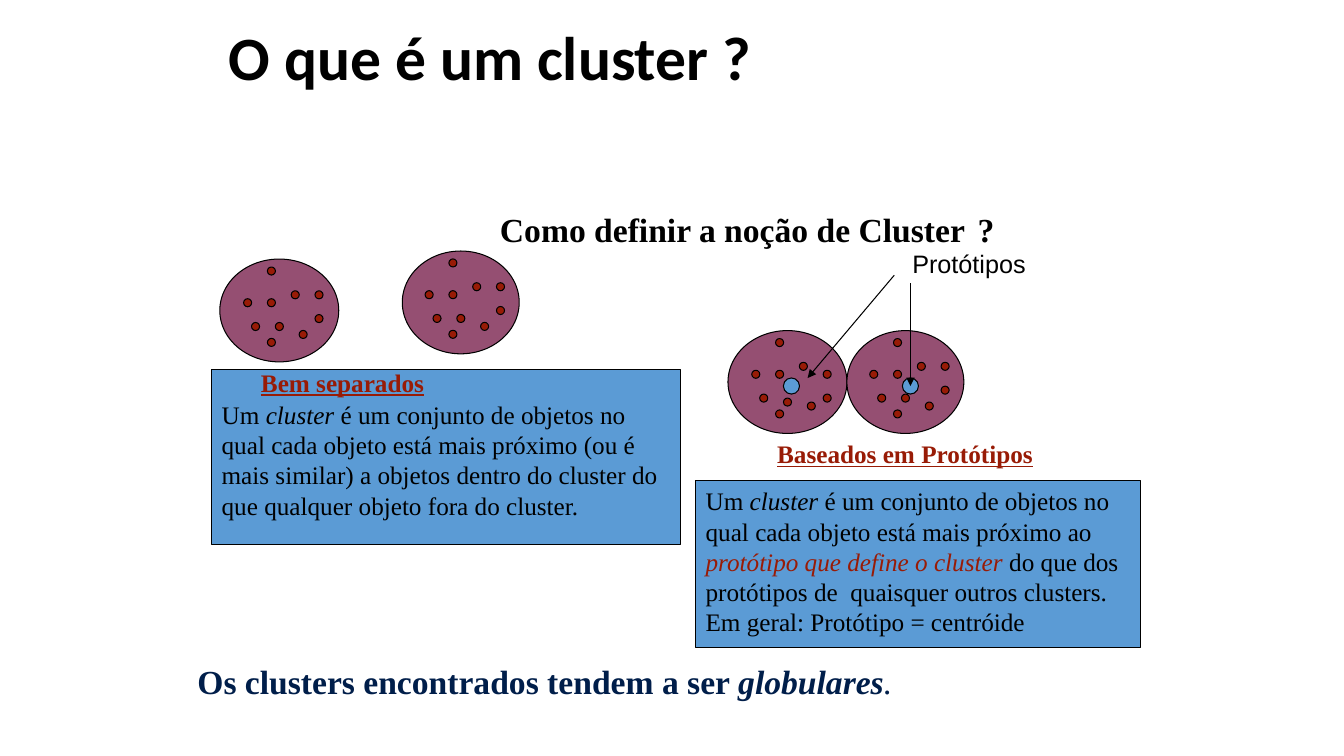
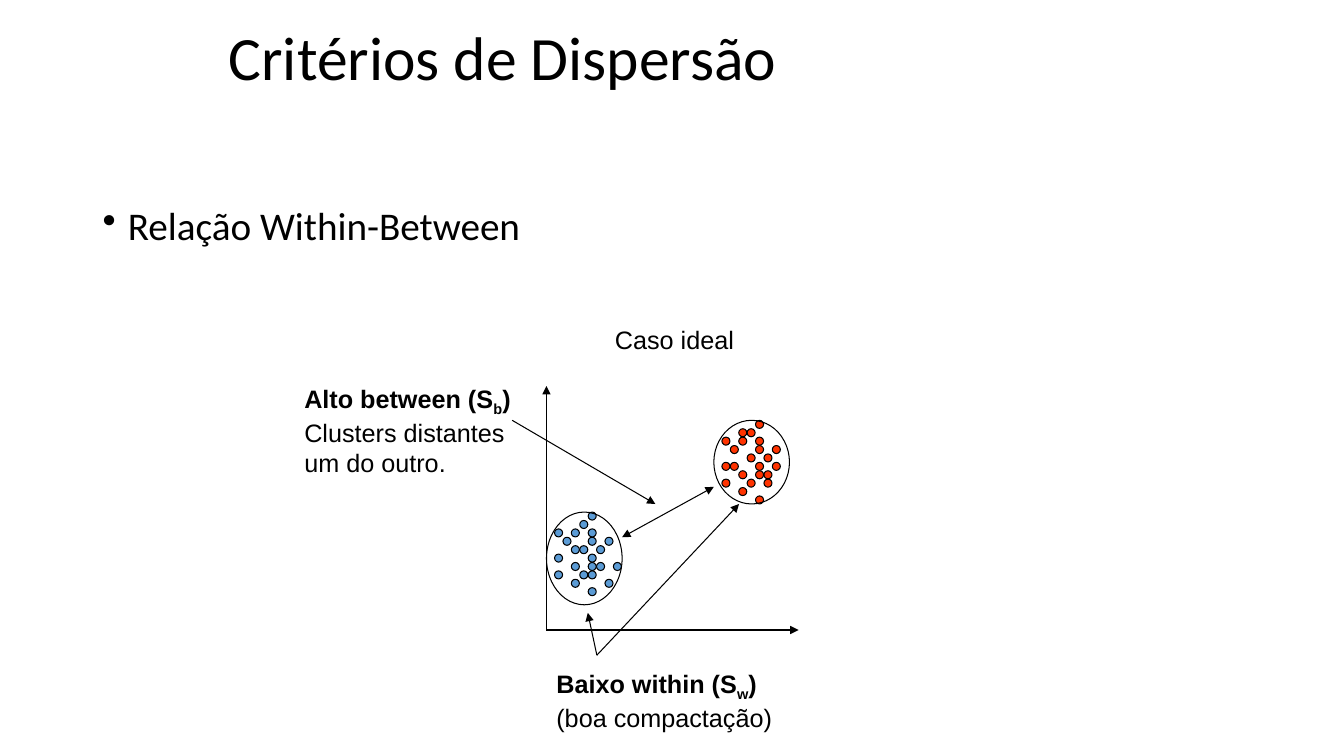
from lxml import etree
from pptx import Presentation
from pptx.dml.color import RGBColor
from pptx.enum import shapes, text
from pptx.oxml import ns
from pptx.util import Inches, Pt

BLACK = RGBColor(0x00, 0x00, 0x00)
BLUE = RGBColor(0x5B, 0x9B, 0xD5)
PLUM = RGBColor(0x95, 0x4F, 0x72)
BRICK = RGBColor(0x98, 0x1B, 0x06)
NAVY = RGBColor(0x00, 0x1E, 0x4A)
RED = RGBColor(0xFF, 0x33, 0x00)

SERIF, SANS, HEADING = "Times New Roman", "Arial", "Calibri"
DOT = 0.08
GLOBE_STEP = 1.18 / 15
SCATTER_STEP = 1 / 12

# Dot positions as (column, row) in grid steps
GLOBE_DOTS = [(6, 1), (9, 4), (12, 7), (3, 5), (6, 10),
              (12, 4), (7, 8), (6, 5), (10, 9), (4, 8)]
SHIFTED_DOTS = [(6, 1), (9, 4), (12, 8), (3, 5), (6, 10),
                (12, 5), (7, 8.5), (6, 5), (10, 9), (4, 8)]
SCATTER_DOTS = [(2, 2), (4, 3), (4, 5), (5, 4), (6, 3), (4, 9), (4, 0),
                (1, 3), (0, 5), (2, 6), (0, 2), (2, 8), (0, 7), (4, 2),
                (3, 1), (5, 6), (3, 7), (3, 4), (4, 6)]
BLUE_DOTS = SCATTER_DOTS + [(4, 7), (7, 6), (6, 8), (2, 4)]
RED_DOTS = SCATTER_DOTS + [(1, 5), (6, 5), (5, 7), (2, 1)]


def write(frame, paras, font, size, color=BLACK, bold=None, underline=None):
    """Fill a frame; each paragraph is a list of strings or (string, style)."""
    for index, spans in enumerate(paras):
        para = frame.paragraphs[0] if index == 0 else frame.add_paragraph()
        para.alignment = text.PP_ALIGN.LEFT
        para.font.name, para.font.size = font, Pt(size)
        para.font.color.rgb = color
        para.font.bold, para.font.underline = bold, underline
        for item in spans:
            words, style = (item, {}) if isinstance(item, str) else item
            span = para.add_run()
            span.text = words
            for key, value in style.items():
                if key == "color":
                    span.font.color.rgb = value
                elif key == "baseline":
                    span._r.get_or_add_rPr().set("baseline", str(value))
                elif key == "size":
                    span.font.size = Pt(value)
                else:
                    setattr(span.font, key, value)


def add_text(page, box, paras, font, size, wrap=False, **style):
    frame = page.shapes.add_textbox(*map(Inches, box)).text_frame
    frame.word_wrap = wrap
    if not wrap:
        frame.auto_size = text.MSO_AUTO_SIZE.SHAPE_TO_FIT_TEXT
    write(frame, paras, font, size, **style)
    return frame


def add_title(page, words, bold=False):
    frame = add_text(page, (2.17, 0.21, 7.49, 0.79), [[words]], HEADING, 44,
                     wrap=True, bold=bold)
    frame.vertical_anchor = text.MSO_ANCHOR.MIDDLE
    frame.paragraphs[0].line_spacing = 0.9


def add_bullet(page, box, words):
    frame = add_text(page, box, [[words]], HEADING, 28, wrap=True)
    para = frame.paragraphs[0]
    para.line_spacing, para.space_before = 0.9, Pt(10)
    props = para._p.get_or_add_pPr()
    props.set("marL", str(Inches(0.25)))
    props.set("indent", str(Inches(-0.25)))
    bullet = etree.Element(ns.qn("a:buChar"), char="•")
    props.find(ns.qn("a:defRPr")).addprevious(bullet)


def add_outlined(page, kind, box, fill=None):
    shape = page.shapes.add_shape(kind, *map(Inches, box))
    shape.shadow.inherit = False
    if fill is None:
        shape.fill.background()
    else:
        shape.fill.solid()
        shape.fill.fore_color.rgb = fill
    shape.line.color.rgb = BLACK
    shape.line.width = Pt(0.75)
    return shape


def add_oval(page, box, fill=None):
    return add_outlined(page, shapes.MSO_SHAPE.OVAL, box, fill)


def add_dots(page, left, top, step, dots, fill):
    for column, row in dots:
        add_oval(page, (left + column * step, top + row * step, DOT, DOT), fill)


def add_globe(page, box, dots=GLOBE_DOTS):
    """Draw a filled cluster with its objects centred across it."""
    left, top, width, _ = box
    add_oval(page, box, PLUM)
    add_dots(page, left + width / 2 - 7.5 * GLOBE_STEP, top, GLOBE_STEP,
             dots, BRICK)


def add_scatter(page, box, dots, fill):
    """Draw an open cluster ring over its objects."""
    add_dots(page, box[0] + DOT, box[1], SCATTER_STEP, dots, fill)
    add_oval(page, box)


def add_arrow(page, start, end, both=False):
    line = page.shapes.add_connector(shapes.MSO_CONNECTOR.STRAIGHT,
                                     *map(Inches, start + end))
    line.line.color.rgb = BLACK
    line.line.width = Pt(0.75)
    outline = line._element.spPr.find(ns.qn("a:ln"))
    for tip in ["headEnd", "tailEnd"] if both else ["tailEnd"]:
        etree.SubElement(outline, ns.qn("a:" + tip), type="triangle")
    etree.SubElement(line._element.spPr, ns.qn("a:effectLst"))


def add_definition(page, box, paras, top_inset=0.05, right_inset=0.1):
    shape = add_outlined(page, shapes.MSO_SHAPE.RECTANGLE, box, BLUE)
    frame = shape.text_frame
    frame.word_wrap = True
    frame.vertical_anchor = text.MSO_ANCHOR.TOP
    frame.margin_top, frame.margin_right = Inches(top_inset), Inches(right_inset)
    write(frame, paras, SERIF, 18)


def add_caption(page, box, words):
    add_text(page, box, [[words]], SERIF, 18, color=BRICK, bold=True,
             underline=True)


def well_separated(page, left, top):
    add_definition(page, (left, top + 1.18, 4.65, 1.73), [[
        "Um ", ("cluster", {"italic": True}),
        " é um conjunto de objetos no qual cada objeto está mais próximo "
        "(ou é mais similar) a objetos dentro do cluster do que qualquer "
        "objeto fora do cluster."]], top_inset=0.29, right_inset=0.16)
    add_globe(page, (left + 0.08, top + 0.08, 1.18, 1.02))
    add_globe(page, (left + 1.89, top, 1.16, 1.02))
    add_caption(page, (left + 0.39, top + 1.1, 1.82, 0.4), "Bem separados")


def prototype_based(page, left, top):
    add_definition(page, (left, top + 2.36, 4.41, 1.65), [
        ["Um ", ("cluster", {"italic": True}),
         " é um conjunto de objetos no qual cada objeto está mais próximo ao ",
         ("protótipo que define o cluster", {"italic": True, "color": BRICK}),
         " do que dos protótipos de  quaisquer outros clusters."],
        ["Em geral: Protótipo = centróide"]])
    add_globe(page, (left + 0.32, top + 0.87, 1.18, 1.02), SHIFTED_DOTS)
    add_globe(page, (left + 1.5, top + 0.87, 1.16, 1.02))
    for offset in (0.87, 2.05):
        add_oval(page, (left + offset, top + 1.34, 0.16, 0.16), BLUE)
    add_arrow(page, (left + 2.13, top + 0.4), (left + 2.13, top + 1.42))
    add_arrow(page, (left + 1.97, top + 0.32), (left + 1.11, top + 1.34))
    add_text(page, (left + 2.05, top, 1.33, 0.4), [["Protótipos"]], SANS, 18)
    add_caption(page, (left + 0.71, top + 1.89, 2.74, 0.4),
                "Baseados em Protótipos")


def dispersion_plot(page, left, top):
    """Draw the axes from their top left corner, with clusters and notes."""
    origin = (left, top + 2.42)
    add_arrow(page, origin, (left + 2.5, top + 2.42))
    add_arrow(page, origin, (left, top))
    add_scatter(page, (left, top + 1.25, 0.75, 0.92), BLUE_DOTS, BLUE)
    add_scatter(page, (left + 1.66, top + 0.34, 0.75, 0.83), RED_DOTS, RED)
    add_arrow(page, (left + 0.75, top + 1.5), (left + 1.66, top + 1), both=True)
    add_arrow(page, (left - 0.34, top + 0.34), (left + 1.08, top + 1.17))
    within = (left + 0.5, top + 2.67)
    add_arrow(page, within, (left + 0.41, top + 2.25))
    add_arrow(page, within, (left + 1.91, top + 1.17))
    add_text(page, (left + 0.58, top - 0.66, 1.38, 0.4), [["Caso ideal"]],
             SANS, 18)
    add_measure(page, (left, top + 2.75, 2.34, 0.7), "Baixo within (S", "w",
                ["(boa compactação)"])
    add_measure(page, (left - 2.5, top - 0.08, 2.26, 1), "Alto between (S", "b",
                ["Clusters distantes", "um do outro."])


def add_measure(page, box, name, subscript, notes):
    strong = {"bold": True}
    heading = [(name, strong), (subscript, {"bold": True, "baseline": -25000}),
               (")", strong)]
    add_text(page, box, [heading] + [[note] for note in notes], SANS, 18)


def cluster_slide(page):
    add_title(page, "O que é um cluster ?", bold=True)
    well_separated(page, 2.1, 2.49)
    prototype_based(page, 6.9, 2.41)
    add_text(page, (4.86, 2.02, 5.11, 0.5), [[
        "Como definir a noção de Cluster", ("  ", {"size": 18, "bold": False}),
        "?"]], SERIF, 24, bold=True)
    add_text(page, (1.86, 6.51, 7.16, 0.5), [[
        "Os clusters encontrados tendem a ser ",
        ("globulares", {"italic": True}),
        (".", {"italic": True, "bold": False})]],
        SERIF, 24, color=NAVY, bold=True)


def dispersion_slide(page):
    add_title(page, "Critérios de Dispersão")
    add_bullet(page, (0.92, 2, 11.5, 4.76), "Relação Within-Between")
    dispersion_plot(page, 5.42, 3.83)


def main():
    deck = Presentation()
    deck.slide_width, deck.slide_height = Inches(13.33), Inches(7.5)
    for build in (cluster_slide, dispersion_slide):
        build(deck.slides.add_slide(deck.slide_layouts[6]))
    deck.save("out.pptx")


if __name__ == "__main__":
    main()
